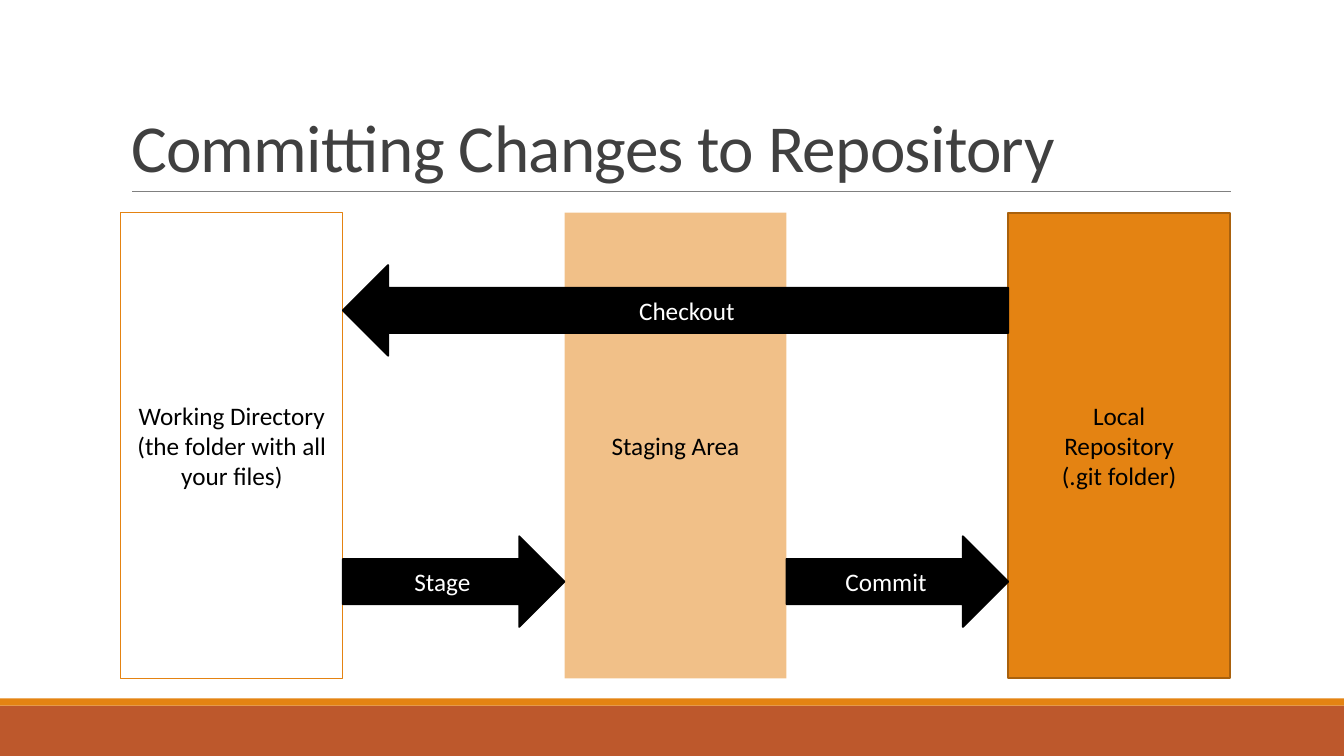
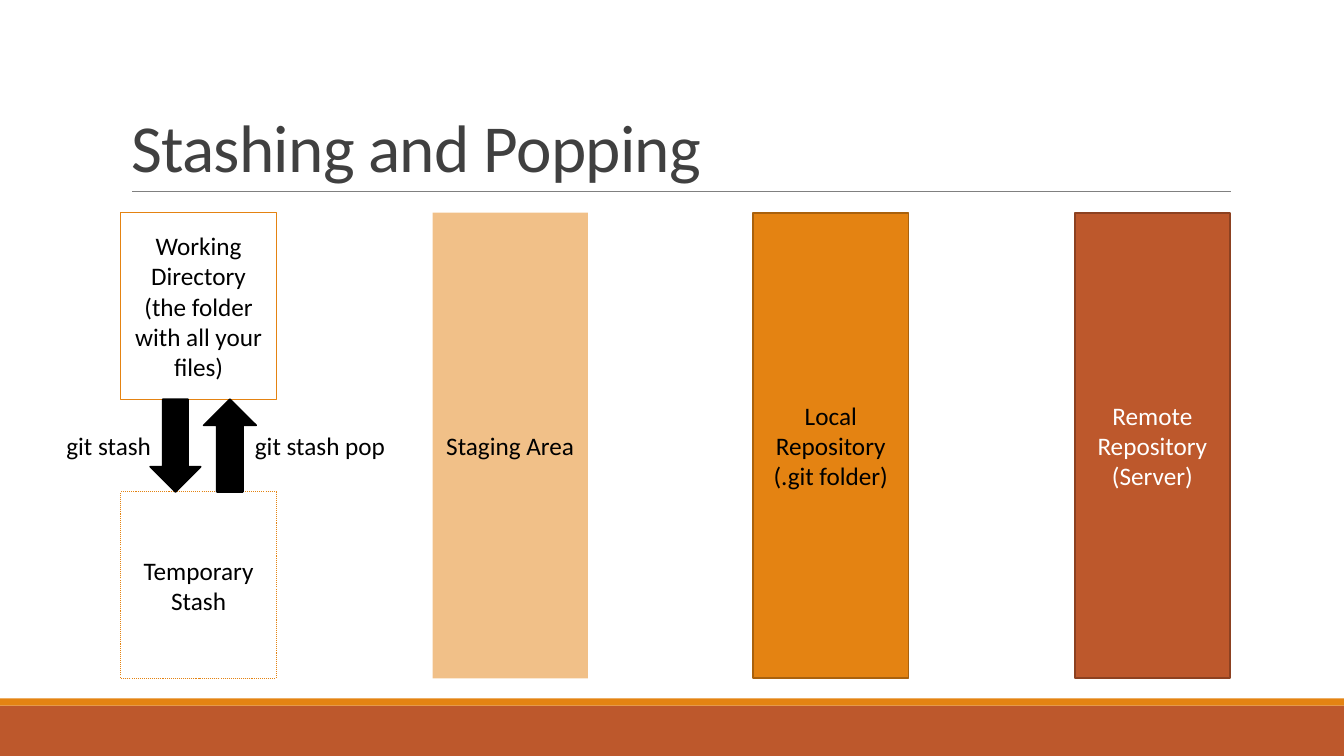
from lxml.etree import SubElement
from pptx import Presentation
from pptx.dml.color import RGBColor
from pptx.enum.dml import MSO_LINE
from pptx.enum.shapes import MSO_CONNECTOR, MSO_SHAPE
from pptx.enum.text import MSO_ANCHOR, MSO_AUTO_SIZE, PP_ALIGN
from pptx.oxml.ns import qn
from pptx.util import Inches, Pt

# Shared style
FONT = "Calibri"
ORANGE, RUST = "E48312", "BD582C"
DARK_ORANGE, DARK_RUST = "A9610D", "8C4121"
BLACK, WHITE, TITLE_GREY, RULE_GREY = "000000", "FFFFFF", "404040", "808080"
SLIDE_W, SLIDE_H = 13.33, 7.5
AREA_TOP, AREA_H = 2.11, 4.62
STASH_H = 1.85
ARROW_H = 0.9

# Look of each area: fill, fill opacity, line, line width, dash, text colour
AREA_STYLES = {
    "working": dict(line=ORANGE, line_width=0.75),
    "staging": dict(fill=ORANGE, opacity=50),
    "local": dict(fill=ORANGE, line=DARK_ORANGE),
    "remote": dict(fill=RUST, line=DARK_RUST, text_color=WHITE),
    "stash": dict(line=ORANGE, line_width=0.75, dash=MSO_LINE.ROUND_DOT),
}
AREA_TEXTS = {
    "working": ["Working Directory", "(the folder with all your files)"],
    "staging": ["Staging Area"],
    "local": ["Local", "Repository", "(.git folder)"],
    "remote": ["Remote Repository", "(Server)"],
    "stash": ["Temporary Stash"],
}
ARROW_STYLE = dict(fill=BLACK, line=BLACK, text_color=WHITE)

# Content: areas as (key, left, top, width, height),
# arrows as (preset, text, left, top, width, height), labels as (text, left, width)
COLUMN_W, COLUMN_STEP = 2.2, 4.4
LEFTS = [1.2 + i * COLUMN_STEP for i in range(3)]
NARROW_W = 1.54
WORKING_BOTTOM = AREA_TOP + STASH_H
STASH_TOP = AREA_TOP + AREA_H - STASH_H
STASH_GAP = STASH_TOP - WORKING_BOTTOM

SLIDES = [
    dict(
        title="Committing Changes to Repository",
        areas=[(key, left, AREA_TOP, COLUMN_W, AREA_H)
               for key, left in zip(("working", "staging", "local"), LEFTS)],
        arrows=[
            (MSO_SHAPE.LEFT_ARROW, ["Checkout"], LEFTS[0] + COLUMN_W, 2.63,
             3 * COLUMN_W, ARROW_H),
            (MSO_SHAPE.RIGHT_ARROW, ["Stage"], LEFTS[0] + COLUMN_W, 5.32,
             COLUMN_W, ARROW_H),
            (MSO_SHAPE.RIGHT_ARROW, ["Commit"], LEFTS[1] + COLUMN_W, 5.32,
             COLUMN_W, ARROW_H),
        ],
        labels=[],
    ),
    dict(
        title="Stashing and Popping",
        areas=[
            ("working", 1.2, AREA_TOP, NARROW_W, STASH_H),
            ("staging", 4.29, AREA_TOP, NARROW_W, AREA_H),
            ("local", 7.47, AREA_TOP, NARROW_W, AREA_H),
            ("remote", 10.66, AREA_TOP, NARROW_W, AREA_H),
            ("stash", 1.2, STASH_TOP, NARROW_W, STASH_H),
        ],
        arrows=[
            (MSO_SHAPE.DOWN_ARROW, [], 1.49, WORKING_BOTTOM, 0.5, STASH_GAP),
            (MSO_SHAPE.UP_ARROW, [], 2.02, WORKING_BOTTOM, 0.52, STASH_GAP),
        ],
        labels=[("git stash", 0.56, 1.1), ("git stash pop", 2.43, 1.52)],
    ),
]


def rgb(value):
    return RGBColor.from_string(value)


def box(*lengths):
    return [Inches(length) for length in lengths]


def write(frame, lines, size=18, color=BLACK, align=PP_ALIGN.CENTER,
          anchor=MSO_ANCHOR.MIDDLE, line_spacing=None, tracking=None):
    frame.word_wrap = True
    frame.vertical_anchor = anchor
    for i, line in enumerate(lines):
        paragraph = frame.paragraphs[0] if i == 0 else frame.add_paragraph()
        paragraph.alignment = align
        paragraph.line_spacing = line_spacing
        run = paragraph.add_run()
        run.text = line
        run.font.name, run.font.size = FONT, Pt(size)
        run.font.color.rgb = rgb(color)
        if tracking is not None:
            run.font._element.set("spc", str(int(tracking * 100)))


def add_block(slide, preset, place, lines=(), fill=None, opacity=None,
              line=None, line_width=1.25, dash=None, text_color=BLACK):
    block = slide.shapes.add_shape(preset, *box(*place))
    block.shadow.inherit = False
    if fill:
        block.fill.solid()
        block.fill.fore_color.rgb = rgb(fill)
    else:
        block.fill.background()
    if opacity:
        color = block.element.spPr.find(f"{qn('a:solidFill')}/{qn('a:srgbClr')}")
        SubElement(color, qn("a:alpha"), val=str(opacity * 1000))
    if line:
        block.line.color.rgb = rgb(line)
        block.line.width = Pt(line_width)
        if dash:
            block.line.dash_style = dash
    else:
        block.line.fill.background()
    write(block.text_frame, lines, color=text_color)
    return block


def add_rule(slide):
    rule = slide.shapes.add_connector(MSO_CONNECTOR.STRAIGHT,
                                      *box(1.31, 1.9, 12.21, 1.9))
    rule.line.color.rgb = rgb(RULE_GREY)
    rule.line.width = Pt(0.5)
    SubElement(rule.element.spPr, qn("a:effectLst"))
    return rule


def furnish_layout(layout, slide):
    """Draw the bands and title rule, then move them to the layout."""
    parts = [
        add_block(slide, MSO_SHAPE.RECTANGLE, (0, 7, SLIDE_W, 0.5), fill=RUST),
        add_block(slide, MSO_SHAPE.RECTANGLE, (0, 6.93, SLIDE_W, 0.07), fill=ORANGE),
        add_rule(slide),
    ]
    for part in parts:
        layout.shapes.element.append(part.element)
    title = layout.placeholders[0]
    title.left, title.top, title.width, title.height = box(1.2, 0.31, 11, 1.59)


def fill_slide(slide, content):
    title = slide.shapes.title.text_frame
    title.auto_size = MSO_AUTO_SIZE.NONE
    write(title, [content["title"]], size=48, color=TITLE_GREY,
          align=PP_ALIGN.LEFT, anchor=MSO_ANCHOR.BOTTOM,
          line_spacing=0.85, tracking=-0.5)
    for key, *place in content["areas"]:
        add_block(slide, MSO_SHAPE.RECTANGLE, place, AREA_TEXTS[key],
                  **AREA_STYLES[key])
    for preset, lines, *place in content["arrows"]:
        add_block(slide, preset, place, lines, **ARROW_STYLE)
    for text, left, width in content["labels"]:
        label = slide.shapes.add_textbox(*box(left, 4.22, width, 0.4)).text_frame
        label.auto_size = MSO_AUTO_SIZE.SHAPE_TO_FIT_TEXT
        write(label, [text], align=PP_ALIGN.LEFT, anchor=MSO_ANCHOR.TOP)


def main():
    deck = Presentation()
    deck.slide_width, deck.slide_height = box(SLIDE_W, SLIDE_H)
    layout = deck.slide_layouts.get_by_name("Title Only")
    slides = [deck.slides.add_slide(layout) for _ in SLIDES]
    furnish_layout(layout, slides[0])
    for slide, content in zip(slides, SLIDES):
        fill_slide(slide, content)
    deck.save("out.pptx")


if __name__ == "__main__":
    main()
